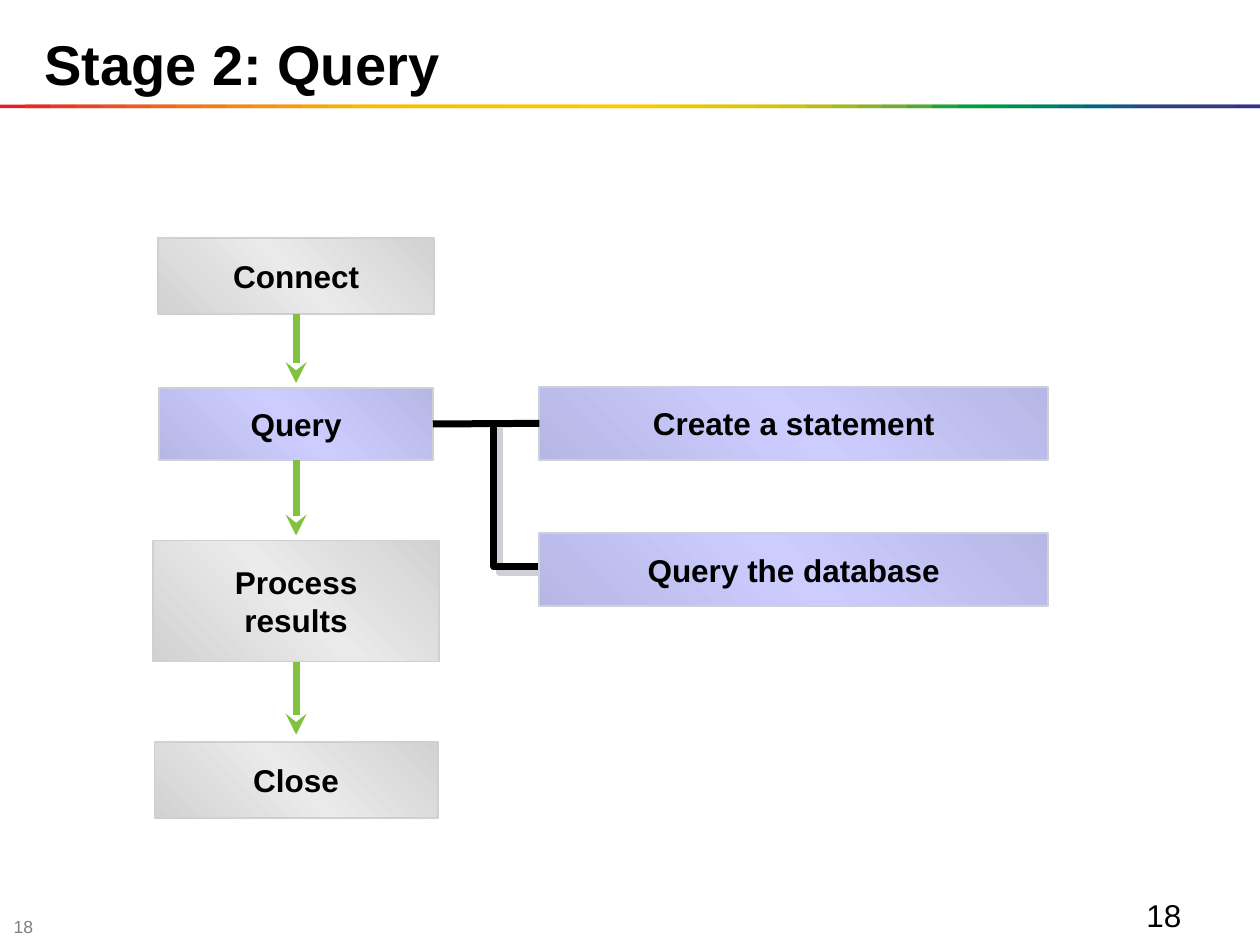
"""Build the "Stage 2: Query" slide: a four-step flow with the query step expanded."""
import copy

import lxml.etree
import pptx
import pptx.dml.color
import pptx.enum.shapes
import pptx.enum.text
import pptx.oxml.ns
import pptx.util
from pptx.util import Inches

RGBColor = pptx.dml.color.RGBColor
BLACK = RGBColor(0x00, 0x00, 0x00)
GRAY_TEXT = RGBColor(0x7F, 0x7F, 0x7F)
GREEN = RGBColor(0x81, 0xC2, 0x40)
OUTLINE = RGBColor(0xCF, 0xD0, 0xD7)
GRAY_EDGE, GRAY_MIDDLE = RGBColor(0xD2, 0xD2, 0xD2), RGBColor(0xEA, 0xEA, 0xEA)
LILAC_EDGE, LILAC_MIDDLE = RGBColor(0xB7, 0xB7, 0xE5), RGBColor(0xCC, 0xCC, 0xFF)
GRAY = (GRAY_EDGE, GRAY_MIDDLE)
LILAC = (LILAC_EDGE, LILAC_MIDDLE)
RAINBOW = [RGBColor.from_string(code) for code in """
    E31E24 E42C24 E53A24 E74623 E85122 EA5D21 EC691F EE741D EF7E1A F18817
    F39314 F49C0F F6A607 F8B002 FBBA00 FBBB00 FBBD00 FCBF00 FCC000 FCC200
    FDC400 FDC600 FDC700 FEC900 FECB00 FBCB00 F3CA00 ECC800 E4C602 DCC50A
    D5C30E CCC117 B8BC21 A3B829 8CB230 71AD36 51A73B 1DA240 009D43 009846
    008C57 008068 007275 00637F 185384 2E4285 313E85 333B85 353885 393185
""".split()]
RECTANGLE = pptx.enum.shapes.MSO_SHAPE.RECTANGLE
STRAIGHT = pptx.enum.shapes.MSO_CONNECTOR.STRAIGHT
MIDDLE = pptx.enum.text.MSO_ANCHOR.MIDDLE
FLOW_CENTER = 2.35


def set_text(shape, text, size, color, bold=False):
    shape.text_frame.text = text
    font = shape.text_frame.paragraphs[0].font
    font.name = "Arial"
    font.size = pptx.util.Pt(size)
    font.bold = bold
    font.color.rgb = color


def style_line(line_shape, color):
    line_shape.line.color.rgb = color
    line_shape.line.width = pptx.util.Pt(4)
    properties = line_shape.line._get_or_add_ln().getparent()
    return lxml.etree.SubElement(properties, pptx.oxml.ns.qn("a:effectLst"))


presentation = pptx.Presentation()
presentation.slide_width = Inches(10)
presentation.slide_height = Inches(7.5)
slide = presentation.slides.add_slide(presentation.slide_layouts[5])
shapes = slide.shapes

title = shapes.title
title.left, title.top, title.width, title.height = Inches(0.25), 0, Inches(9.75), Inches(1)
set_text(title, "Stage 2: Query", 32, BLACK, bold=True)
title.text_frame.auto_size = pptx.enum.text.MSO_AUTO_SIZE.NONE
title.text_frame.vertical_anchor = MIDDLE
title.text_frame.paragraphs[0].alignment = pptx.enum.text.PP_ALIGN.LEFT

for index, color in enumerate(RAINBOW):
    left = 0.2 * index
    band = shapes.add_shape(
        RECTANGLE, Inches(left), Inches(0.83), Inches(min(0.4, 10 - left)), Inches(0.03))
    band.shadow.inherit = False
    band.fill.solid()
    band.fill.fore_color.rgb = color
    band.line.fill.background()

for left, top, width, height, size, color, anchor in [
    (0.01, 7.27, 0.39, 0.16, 10, GRAY_TEXT, MIDDLE),
    (9, 7.06, 0.96, 0.35, 18, BLACK, pptx.enum.text.MSO_ANCHOR.TOP),
]:
    number = shapes.add_textbox(Inches(left), Inches(top), Inches(width), Inches(height))
    set_text(number, "18", size, color)
    number.text_frame.word_wrap = True
    number.text_frame.vertical_anchor = anchor

builder = shapes.build_freeform(Inches(3.92), Inches(3.36))
builder.add_line_segments(
    [(Inches(3.92), Inches(4.5)), (Inches(4.5), Inches(4.5))], close=False)
branch = builder.convert_to_shape()
branch.fill.background()
effects = style_line(branch, BLACK)
shadow = lxml.etree.SubElement(
    effects, pptx.oxml.ns.qn("a:outerShdw"),
    dist=str(pptx.util.Pt(4.2)), dir="2700000", algn="ctr", rotWithShape="0")
lxml.etree.SubElement(shadow, pptx.oxml.ns.qn("a:srgbClr"), val=str(OUTLINE))

boxes = {}
for text, center, top, width, height, (edge, middle) in [
    ("Connect", FLOW_CENTER, 1.89, 2.19, 0.6, GRAY),
    ("Query", FLOW_CENTER, 3.08, 2.17, 0.57, LILAC),
    ("Process\vresults", FLOW_CENTER, 4.29, 2.27, 0.96, GRAY),
    ("Close", FLOW_CENTER, 5.89, 2.25, 0.6, GRAY),
    ("Create a statement", 6.3, 3.07, 4.04, 0.58, LILAC),
    ("Query the database", 6.3, 4.23, 4.04, 0.58, LILAC),
]:
    box = shapes.add_shape(
        RECTANGLE, Inches(center - width / 2), Inches(top), Inches(width), Inches(height))
    box.shadow.inherit = False
    box.fill.gradient()
    box.fill.gradient_angle = 45
    first_stop = box.fill.gradient_stops[0]._gs
    first_stop.addnext(copy.deepcopy(first_stop))
    for stop, position, color in zip(
            box.fill.gradient_stops, (0, 0.5, 1), (edge, middle, edge)):
        stop.position = position
        stop.color.rgb = color
    box.line.color.rgb = OUTLINE
    box.line.width = pptx.util.Pt(1)
    set_text(box, text, 18, BLACK, bold=True)
    box.text_frame.word_wrap = False
    box.text_frame.vertical_anchor = MIDDLE
    box.text_frame.paragraphs[0].alignment = pptx.enum.text.PP_ALIGN.CENTER
    boxes[text] = box

for step, tip in [("Connect", 3.04), ("Query", 4.25), ("Process\vresults", 5.83)]:
    arrow = shapes.add_connector(
        STRAIGHT, Inches(FLOW_CENTER), Inches(tip), Inches(FLOW_CENTER), Inches(tip))
    arrow.begin_connect(boxes[step], 2)
    style_line(arrow, GREEN)
    lxml.etree.SubElement(
        arrow.line._get_or_add_ln(), pptx.oxml.ns.qn("a:tailEnd"), type="stealth")

link = shapes.add_connector(STRAIGHT, 0, 0, 0, 0)
link.begin_connect(boxes["Query"], 3)
link.end_connect(boxes["Create a statement"], 1)
style_line(link, BLACK)

presentation.save("out.pptx")
